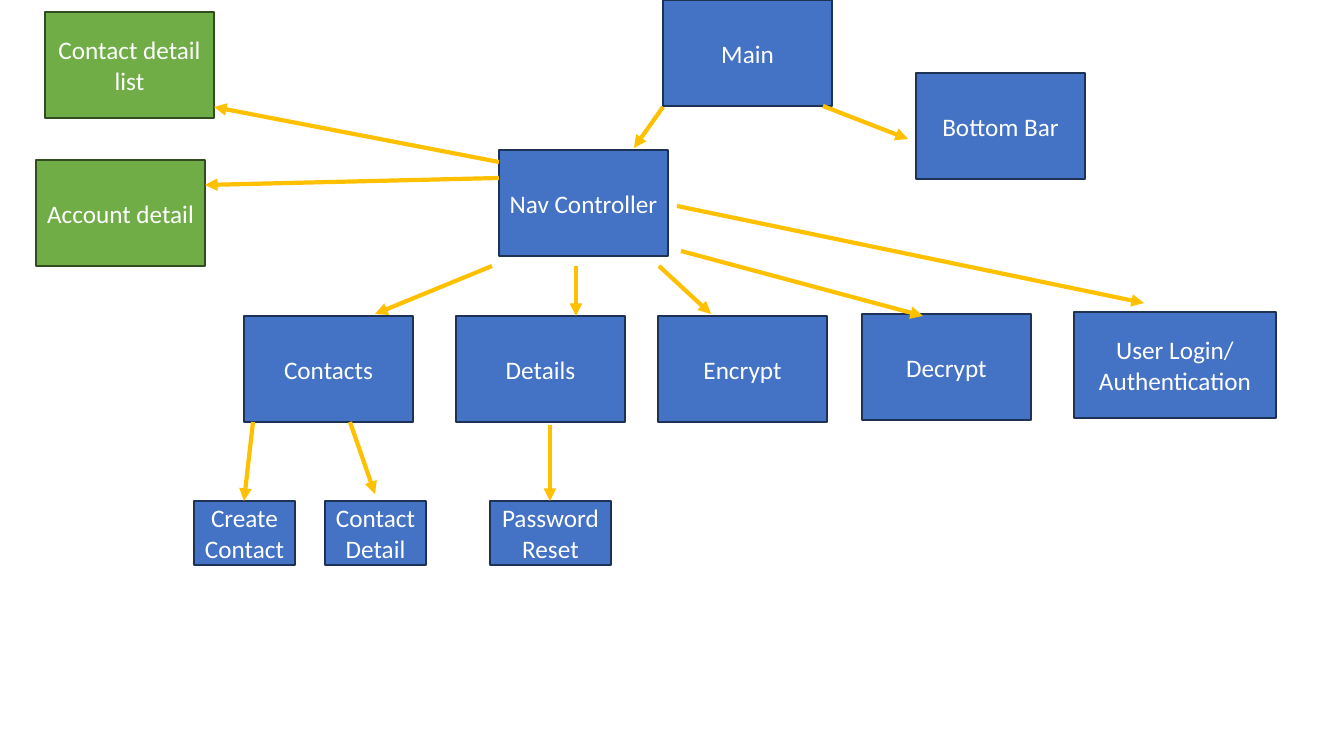
from lxml import etree
from pptx import Presentation
from pptx import util as u
from pptx.dml import color
from pptx.enum import shapes, text
from pptx.oxml import ns

PIXEL = 914400 / 100.8
COLORS = {
    "screen": "4472C4", "screen_edge": "1E3256",
    "model": "70AD47", "model_edge": "314C1F",
    "arrow": "FFC000", "label": "FFFFFF",
}
BOX_WIDTH, BOX_HEIGHT = 169, 106
SMALL_WIDTH, SMALL_HEIGHT = 101, 64


def px(length):
    return u.Emu(round(length * PIXEL))


def rgb(name):
    return color.RGBColor.from_string(COLORS[name])


def write_text(shape, label, size=18, font="Calibri", ink="label"):
    frame = shape.text_frame
    frame.word_wrap = True
    frame.vertical_anchor = text.MSO_ANCHOR.MIDDLE
    paragraph = frame.paragraphs[0]
    paragraph.alignment = text.PP_ALIGN.CENTER
    run = paragraph.add_run()
    run.text = label
    run.font.size = u.Pt(size)
    run.font.name = font
    run.font.color.rgb = rgb(ink)


def add_node(slide, label, left, top, width=BOX_WIDTH, height=BOX_HEIGHT, kind="screen"):
    shape = slide.shapes.add_shape(
        shapes.MSO_SHAPE.RECTANGLE, px(left), px(top), px(width), px(height))
    shape.shadow.inherit = False
    shape.fill.solid()
    shape.fill.fore_color.rgb = rgb(kind)
    shape.line.color.rgb = rgb(kind + "_edge")
    shape.line.width = u.Pt(1)
    write_text(shape, label)


def add_arrows(slide, left, top, routes):
    for x1, y1, x2, y2 in routes:
        arrow = slide.shapes.add_connector(
            shapes.MSO_CONNECTOR.STRAIGHT,
            px(left + x1), px(top + y1), px(left + x2), px(top + y2))
        arrow.line.color.rgb = rgb("arrow")
        arrow.line.width = u.Pt(3)
        etree.SubElement(arrow.line._get_or_add_ln(), ns.qn("a:tailEnd"), type="triangle")
        etree.SubElement(arrow._element.spPr, ns.qn("a:effectLst"))


# Main screen with its controller and bar
def add_main_region(slide, left, top):
    for label, x, y in [("Main", 164, 0), ("Nav Controller", 0, 150), ("Bottom Bar", 417, 73)]:
        add_node(slide, label, left + x, top + y)
    add_arrows(slide, left, top, [(164, 107, 135, 148), (324, 106, 409, 139)])


# Green data models, fed by the controller
def add_model_region(slide, left, top):
    for label, x, y in [("Contact detail list", 9, 0), ("Account detail", 0, 148)]:
        add_node(slide, label, left + x, top + y, kind="model")
    add_arrows(slide, left, top, [(463, 150, 178, 95), (463, 166, 169, 173)])


# Row of screens reached from the controller
def add_screen_region(slide, left, top):
    for label, x, y, width in [
        ("Contacts", 0, 110, BOX_WIDTH),
        ("Details", 212, 110, BOX_WIDTH),
        ("Encrypt", 414, 110, BOX_WIDTH),
        ("Decrypt", 618, 108, BOX_WIDTH),
        ("User Login/ Authentication", 830, 106, 202),
    ]:
        add_node(slide, label, left + x, top + y, width)
    add_arrows(slide, left, top, [
        (248, 60, 131, 108), (332, 60, 332, 110), (415, 60, 467, 108),
        (437, 45, 679, 110), (433, 0, 900, 97),
    ])


# Small screens under Contacts and Details
def add_subscreen_region(slide, left, top):
    for label, x, width in [
        ("Create Contact", 0, SMALL_WIDTH),
        ("Contact Detail", 131, SMALL_WIDTH),
        ("Password Reset", 296, 121),
    ]:
        add_node(slide, label, left + x, top + 79, width, SMALL_HEIGHT)
    add_arrows(slide, left, top, [
        (59, 0, 50, 79), (156, 0, 181, 72), (356, 3, 356, 79)])


presentation = Presentation()
presentation.slide_width, presentation.slide_height = px(1344), px(756)
slide = presentation.slides.add_slide(presentation.slide_layouts[6])
add_main_region(slide, 499, 0)
add_model_region(slide, 36, 12)
add_screen_region(slide, 244, 206)
add_subscreen_region(slide, 194, 422)
presentation.save("out.pptx")
